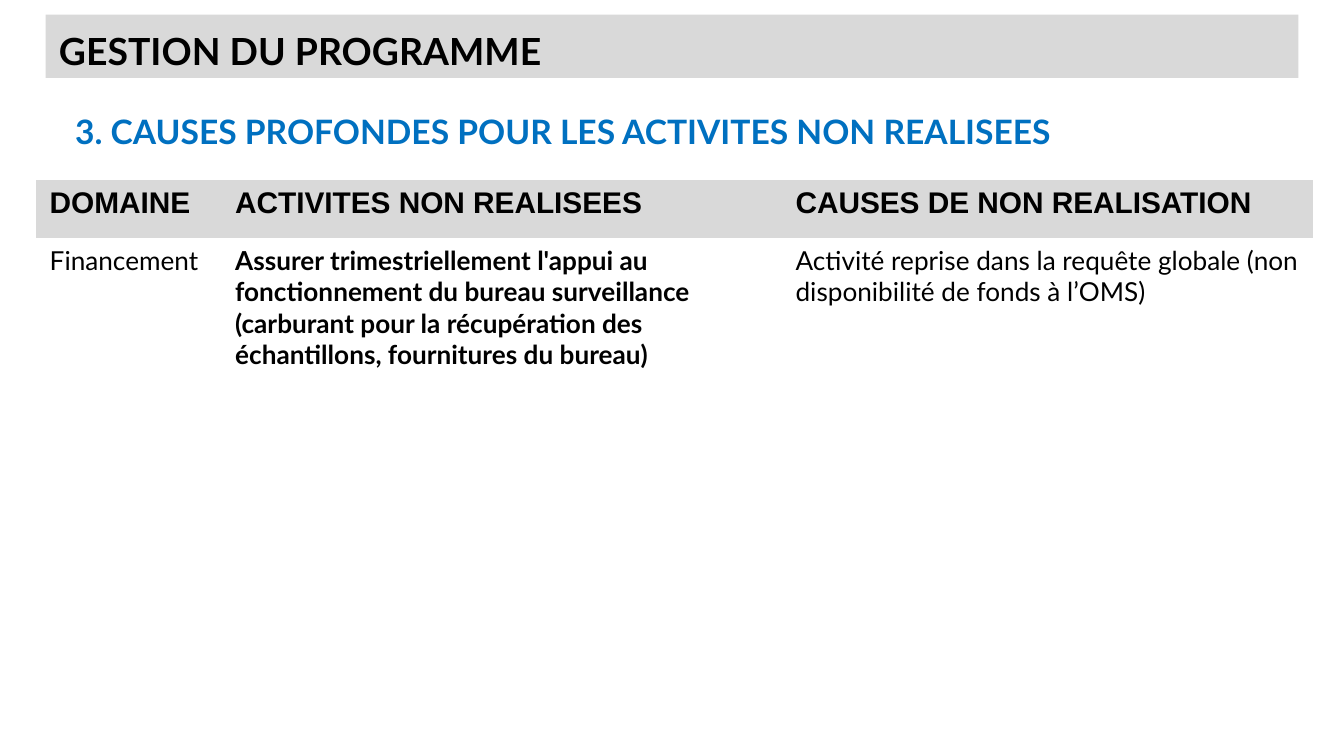
from pptx import Presentation
from pptx.dml.color import RGBColor
from pptx.enum.shapes import MSO_SHAPE
from pptx.enum.text import MSO_ANCHOR, PP_ALIGN
from pptx.oxml.ns import qn
from pptx.util import Inches, Pt

BLACK = RGBColor(0x00, 0x00, 0x00)
BLUE = RGBColor(0x00, 0x70, 0xC0)
GREY = RGBColor(0xD9, 0xD9, 0xD9)
HEADING_FONT = "Arial"
BODY_FONT = "Lato"
NO_STYLE_NO_GRID = "{2D5ABB26-0587-4C30-8999-92F81FD0307C}"


def write_text(frame, text, font=BODY_FONT, size=14, color=BLACK, bold=False,
               line_spacing=None, indent=0):
    """Fill a text frame with one left-aligned paragraph."""
    frame.word_wrap = True
    para = frame.paragraphs[0]
    para.alignment = PP_ALIGN.LEFT
    if line_spacing:
        para.line_spacing = line_spacing
    span = para.add_run()
    span.text = text
    span.font.name = font
    span.font.size = Pt(size)
    span.font.bold = bold
    span.font.color.rgb = color
    if indent:
        para._p.get_or_add_pPr().set("marL", str(Inches(indent)))


class SlideBuilder:
    def __init__(self, slide, inset=0.1):
        self.slide = slide
        self.inset = Inches(inset)

    def set_frame(self, frame):
        frame.margin_left = frame.margin_right = self.inset
        frame.margin_top = frame.margin_bottom = self.inset
        frame.vertical_anchor = MSO_ANCHOR.TOP

    def add_banner(self, left, top, width, height, text, **style):
        box = self.slide.shapes.add_shape(
            MSO_SHAPE.RECTANGLE, Inches(left), Inches(top), Inches(width), Inches(height))
        box.shadow.inherit = False
        box.fill.solid()
        box.fill.fore_color.rgb = GREY
        box.line.fill.background()
        self.set_frame(box.text_frame)
        write_text(box.text_frame, text, **style)

    def add_text(self, left, top, width, height, text, **style):
        box = self.slide.shapes.add_textbox(
            Inches(left), Inches(top), Inches(width), Inches(height))
        self.set_frame(box.text_frame)
        write_text(box.text_frame, text, **style)

    def add_table(self, left, top, widths, heights, headings, body):
        table = self.slide.shapes.add_table(
            len(heights), len(widths), Inches(left), Inches(top),
            Inches(sum(widths)), Inches(sum(heights))).table
        table.horz_banding = False
        table._tbl.tblPr.find(qn("a:tableStyleId")).text = NO_STYLE_NO_GRID
        for column, width in zip(table.columns, widths):
            column.width = Inches(width)
        for row, height in zip(table.rows, heights):
            row.height = Inches(height)
        for index, heading in enumerate(headings):
            cell = table.cell(0, index)
            cell.fill.solid()
            cell.fill.fore_color.rgb = GREY
            write_text(cell.text_frame, heading, font=HEADING_FONT, size=16, bold=True)
        for index, (text, bold) in enumerate(body):
            cell = table.cell(1, index)
            cell.fill.background()
            write_text(cell.text_frame, text, bold=bold)


def main():
    # Widescreen deck, 16 by 9
    deck = Presentation()
    deck.slide_width = Inches(10)
    deck.slide_height = Inches(10 * 9 / 16)
    page = SlideBuilder(deck.slides.add_slide(deck.slide_layouts[6]))

    # Section heading
    page.add_text(0.34, 0.68, 9.32, 4.31,
                  "3. CAUSES PROFONDES POUR LES ACTIVITES NON REALISEES",
                  size=18, color=BLUE, bold=True, line_spacing=1.15, indent=0.12)

    # Activities not carried out, and why
    page.add_table(
        0.27, 1.34, widths=[1.38, 4.17, 3.95], heights=[0.43, 1.18],
        headings=["DOMAINE", "ACTIVITES NON REALISEES", "CAUSES DE NON REALISATION"],
        body=[
            ("Financement", False),
            ("Assurer trimestriellement l'appui au fonctionnement du bureau surveillance "
             "(carburant pour la récupération des échantillons, fournitures du bureau)", True),
            ("Activité reprise dans la requête globale "
             "(non disponibilité de fonds à l’OMS)", False),
        ])

    # Title banner
    page.add_banner(0.34, 0.11, 9.32, 0.47, "GESTION DU PROGRAMME", size=20, bold=True)

    deck.save("out.pptx")


if __name__ == "__main__":
    main()
